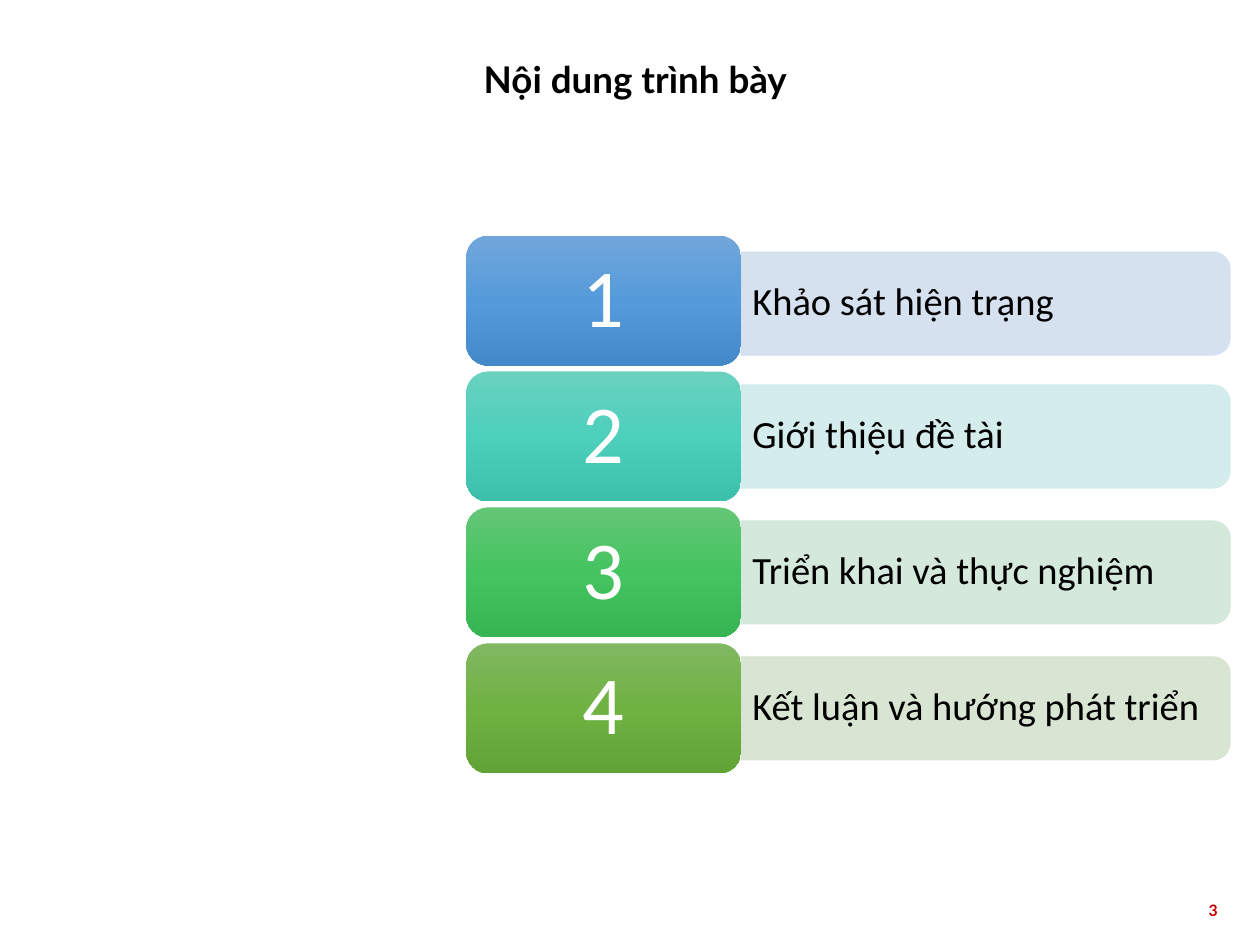
from copy import deepcopy

from pptx import Presentation
from pptx.dml.color import RGBColor
from pptx.enum.shapes import MSO_SHAPE
from pptx.enum.text import MSO_ANCHOR, PP_ALIGN
from pptx.oxml.ns import qn
from pptx.util import Cm, Pt
from lxml import etree

PILL = MSO_SHAPE.ROUNDED_RECTANGLE
BAND = MSO_SHAPE.ROUND_2_SAME_RECTANGLE
TOP, MIDDLE = MSO_ANCHOR.TOP, MSO_ANCHOR.MIDDLE
LEFT, CENTER, RIGHT = PP_ALIGN.LEFT, PP_ALIGN.CENTER, PP_ALIGN.RIGHT

ROWS = [
    ("Khảo sát hiện trạng", "D2DEEF", ("71A6DB", "559BDB", "448ACA"), 0.06),
    ("Giới thiệu đề tài", "D0ECEA", ("6AD1C0", "4CD0BC", "3CC0AC"), 0),
    ("Triển khai và thực nghiệm", "D0E7D8", ("64C677", "44C460", "36B552"), 0),
    ("Kết luận và hướng phát triển", "D5E3CF", ("81B861", "6FB242", "62A336"), 0),
]


def tint(color, code):
    """Set a colour from a hex string."""
    color.rgb = RGBColor.from_string(code)


def write(shape, text, size, code, face="Calibri", bold=False, align=LEFT,
          anchor=MIDDLE, inset=(0.25, 0.13), lead=0.9):
    """Fill a shape with one line of formatted text."""
    frame = shape.text_frame
    frame.word_wrap = True
    frame.vertical_anchor = anchor
    frame.margin_left = frame.margin_right = Cm(inset[0])
    frame.margin_top = frame.margin_bottom = Cm(inset[1])
    para = frame.paragraphs[0]
    para.text = text
    para.alignment = align
    para.line_spacing = lead
    font = para.font
    font.name, font.size, font.bold = face, Pt(size), bold
    tint(font.color, code)


def blend(shape, codes):
    """Fill a shape with an even gradient from top to bottom."""
    fill = shape.fill
    fill.gradient()
    fill.gradient_angle = 270
    stops = shape._element.spPr.find(qn("a:gradFill")).find(qn("a:gsLst"))
    stops.insert(1, deepcopy(stops[0]))
    for num, (stop, code) in enumerate(zip(fill.gradient_stops, codes)):
        stop.position = num / (len(codes) - 1)
        tint(stop.color, code)


def add_band(shapes, left, top, width, height, text, code):
    """Add a pale band, rounded on the right, with its label."""
    band = shapes.add_shape(BAND, Cm(left + (width - height) / 2),
                            Cm(top + (height - width) / 2), Cm(height), Cm(width))
    band.rotation = 90
    band.shadow.inherit = False
    band.fill.solid()
    tint(band.fill.fore_color, code)
    tint(band.line.color, code)
    band.line.width = Pt(0.5)
    for node in band._element.spPr.iter(qn("a:srgbClr")):
        etree.SubElement(node, qn("a:alpha")).set("val", "90000")
    label = shapes.add_textbox(Cm(left), Cm(top + 0.1), Cm(width - 0.1), Cm(height - 0.2))
    write(label, text, 22, "000000", inset=(0.23, 0.13))


def add_pill(shapes, left, top, width, height, text, codes):
    """Add a numbered gradient pill."""
    pill = shapes.add_shape(PILL, Cm(left), Cm(top), Cm(width), Cm(height))
    pill.shadow.inherit = False
    pill.line.fill.background()
    blend(pill, codes)
    write(pill, text, 47, "FFFFFF", align=CENTER, inset=(0.63, 0.38))


def add_list(shapes, left, top, width, height):
    """Stack the agenda rows inside a box."""
    gap, split, slim = 0.12, 5.54, 2.08
    tall = (height - gap * (len(ROWS) - 1)) / len(ROWS)
    for num, (text, pale, codes, nudge) in enumerate(ROWS):
        row = top + num * (tall + gap)
        add_band(shapes, left + split, row + (tall - slim) / 2 + nudge,
                 width - split, slim, text, pale)
        add_pill(shapes, left, row, split, tall, str(num + 1), codes)


def add_title(shapes, left, top, width, height):
    """Place and format the title."""
    title = shapes.title
    title.left, title.top, title.width, title.height = map(Cm, (left, top, width, height))
    write(title, "Nội dung trình bày", 21, "000000", "Lato", True, anchor=TOP)


def add_page(shapes, left, top, width, height):
    """Add the page number."""
    page = shapes.add_textbox(Cm(left), Cm(top), Cm(width), Cm(height))
    write(page, "3", 9, "C00000", "Lato", True, RIGHT, TOP, lead=1.0)


def main():
    """Build and save the slide."""
    deck = Presentation()
    deck.slide_width, deck.slide_height = Cm(25.4), Cm(19.05)
    shapes = deck.slides.add_slide(deck.slide_layouts[5]).shapes
    add_title(shapes, 9.5, 1.12, 15.39, 1.22)
    add_page(shapes, 19.08, 18.03, 5.72, 1.02)
    add_list(shapes, 9.4, 4.75, 15.4, 10.84)
    deck.save("out.pptx")


if __name__ == "__main__":
    main()
